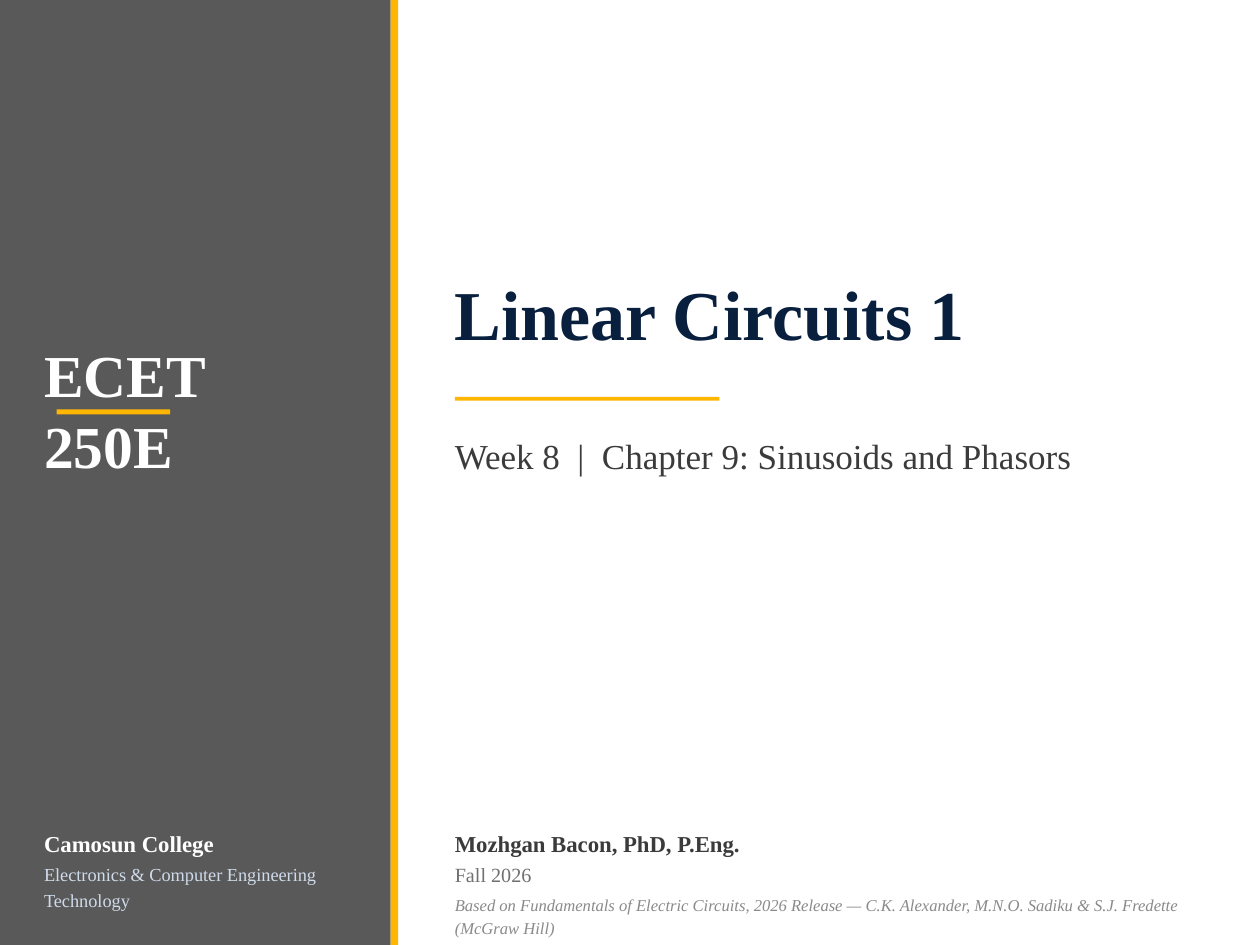
from pptx import Presentation
from pptx.dml.color import RGBColor
from pptx.enum.shapes import MSO_SHAPE
from pptx.enum.text import MSO_ANCHOR
from pptx.util import Inches, Pt

WHITE = RGBColor(0xFF, 0xFF, 0xFF)
GRAY = RGBColor(0x59, 0x59, 0x59)
GOLD = RGBColor(0xFF, 0xB6, 0x00)
NAVY = RGBColor(0x08, 0x1F, 0x3D)
PALE_BLUE = RGBColor(0xCF, 0xDA, 0xEA)
DARK = RGBColor(0x3B, 0x3B, 0x3B)
MEDIUM = RGBColor(0x70, 0x70, 0x70)
LIGHT = RGBColor(0x8A, 0x8A, 0x8A)
FONT = "Times New Roman"

# Layout: a side panel, a thin stripe and the main column
WIDTH, HEIGHT = 10, 7.5
PANEL = 0.31 * WIDTH
STRIPE = 0.06
SIDE_LEFT, SIDE_WIDTH = 0.35, PANEL - 2 * 0.35
MAIN_LEFT = PANEL + STRIPE + 0.45
MAIN_WIDTH = WIDTH - MAIN_LEFT - 0.45
FOOTER_TOP = 6.55

# Bars: left, top, width, height, colour
PANEL_BARS = [
    (0, 0, PANEL, HEIGHT, GRAY),
    (PANEL, 0, STRIPE, HEIGHT, GOLD),
]
RULES = [
    (SIDE_LEFT + 0.1, 3.25, 0.9, 0.04, GOLD),
    (MAIN_LEFT, 3.15, 2.1, 0.03, GOLD),
]

# Texts: box, anchor, line spacing, space after the first paragraph,
# then paragraphs of (text, size, colour, bold, italic)
TEXTS = [
    ((SIDE_LEFT, 2.55, SIDE_WIDTH, 1.4), MSO_ANCHOR.MIDDLE, None, 0,
     [("ECET 250E", 34, WHITE, True, False)]),
    ((SIDE_LEFT, FOOTER_TOP, SIDE_WIDTH, 0.7), MSO_ANCHOR.TOP, 1.15, 2,
     [("Camosun College", 13, WHITE, True, False),
      ("Electronics & Computer Engineering Technology", 10.5, PALE_BLUE, False, False)]),
    ((MAIN_LEFT, 2.15, MAIN_WIDTH, 1.3), MSO_ANCHOR.TOP, None, 0,
     [("Linear Circuits 1", 40, NAVY, True, False)]),
    ((MAIN_LEFT, 3.4, 6.26, 0.34), MSO_ANCHOR.TOP, 1.15, 0,
     [("Week 8  |  Chapter 9: Sinusoids and Phasors", 20, DARK, False, False)]),
    ((MAIN_LEFT, FOOTER_TOP, MAIN_WIDTH, 0.47), MSO_ANCHOR.TOP, 1.15, 1,
     [("Mozhgan Bacon, PhD, P.Eng.", 13, DARK, True, False),
      ("Fall 2026", 11.5, MEDIUM, False, False)]),
    ((MAIN_LEFT, 7.08, MAIN_WIDTH, 0.3), MSO_ANCHOR.TOP, 1.15, 0,
     [("Based on Fundamentals of Electric Circuits, 2026 Release — "
       "C.K. Alexander, M.N.O. Sadiku & S.J. Fredette (McGraw Hill)",
       9.5, LIGHT, False, True)]),
]


def add_bar(slide, left, top, width, height, color):
    shape = slide.shapes.add_shape(
        MSO_SHAPE.RECTANGLE, *map(Inches, (left, top, width, height)))
    shape.shadow.inherit = False
    shape.fill.solid()
    shape.fill.fore_color.rgb = color
    shape.line.fill.background()


def add_text(slide, box, anchor, line_spacing, space_after, paragraphs):
    frame = slide.shapes.add_textbox(*map(Inches, box)).text_frame
    frame.word_wrap = True
    frame.vertical_anchor = anchor
    frame.margin_left = frame.margin_right = 0
    frame.margin_top = frame.margin_bottom = 0
    for index, (text, size, color, bold, italic) in enumerate(paragraphs):
        paragraph = frame.add_paragraph() if index else frame.paragraphs[0]
        if line_spacing:
            paragraph.line_spacing = line_spacing
        if index == 0 and space_after:
            paragraph.space_after = Pt(space_after)
        run = paragraph.add_run()
        run.text = text
        run.font.name = FONT
        run.font.size = Pt(size)
        run.font.bold = bold
        run.font.italic = italic
        run.font.color.rgb = color


presentation = Presentation()
presentation.slide_width = Inches(WIDTH)
presentation.slide_height = Inches(HEIGHT)
slide = presentation.slides.add_slide(presentation.slide_layouts[6])
slide.background.fill.solid()
slide.background.fill.fore_color.rgb = WHITE

# Side panel and rules lie behind the text, except the rule over the course code
for bar in PANEL_BARS:
    add_bar(slide, *bar)
add_text(slide, *TEXTS[0])
for rule in RULES:
    add_bar(slide, *rule)
for text in TEXTS[1:]:
    add_text(slide, *text)

presentation.save("out.pptx")
